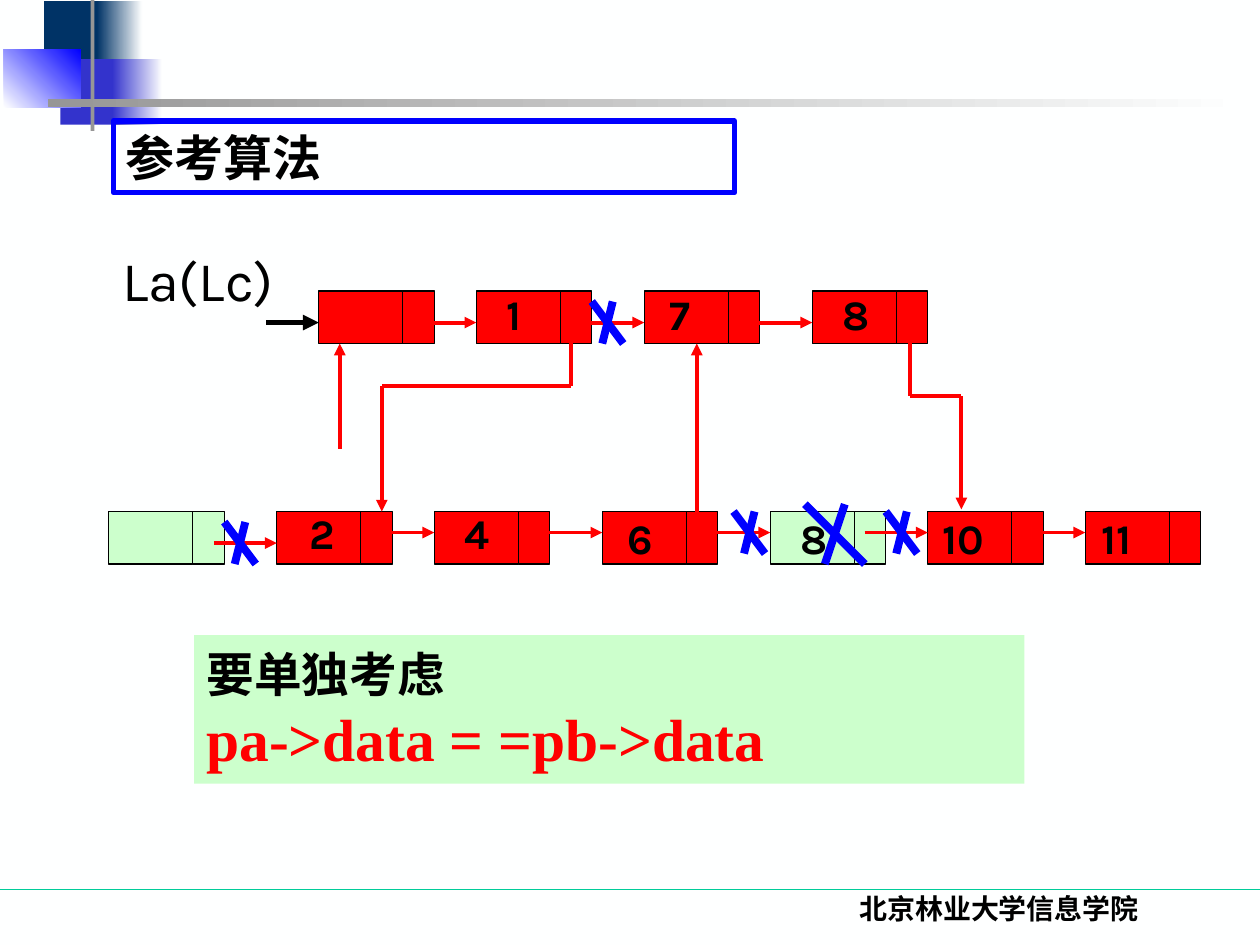
import dataclasses
import pptx
import pptx.dml.color
import pptx.enum.shapes
import pptx.enum.text
import pptx.oxml
import pptx.oxml.ns
import pptx.util


@dataclasses.dataclass(frozen=True)
class Theme:
    paper: str = "FEFFFF"
    ink: str = "000000"
    red: str = "FF0000"
    blue: str = "0000FF"
    mint: str = "CCFFCC"
    navy: str = "003366"
    plum: str = "3333CC"
    gray: str = "969696"
    green: str = "00CC99"
    serif: str = "Times New Roman"
    sans: str = "Karla"
    hei: str = "Noto Sans CJK SC"
    foot: float = 16
    label: float = 24
    note: float = 27.2
    title: float = 28
    head: float = 32
    code: float = 34
    hair: float = 0.75
    link: float = 2.25
    frame: float = 3
    cross: float = 4.5


class Deck:
    """Draws on one slide, with places in percent or in list grid units."""

    def __init__(self, theme):
        self.theme = theme
        self.prs = pptx.Presentation()
        self.prs.slide_width = pptx.util.Inches(10)
        self.prs.slide_height = pptx.util.Inches(7.5)
        self.slide = self.prs.slides.add_slide(self.prs.slide_layouts[6])
        self.paint(self.slide.background.fill, theme.paper)

    def share(self, x, y):
        return int(self.prs.slide_width * x / 100), int(self.prs.slide_height * y / 100)

    def grid(self, col, row):
        return 0.3 + col * 10 / 12, 0.8 + row * 10 / 9

    def span(self, col, row, wide, high):
        return *self.grid(col, row), wide * 10 / 12, high * 10 / 9

    def paint(self, fill, color):
        fill.solid()
        fill.fore_color.rgb = pptx.dml.color.RGBColor.from_string(color)

    def rect(self, box, fill=None, line=None, width=0, fade=None, angle=0):
        shape = self.slide.shapes.add_shape(
            pptx.enum.shapes.MSO_SHAPE.RECTANGLE, *self.share(*box[:2]), *self.share(*box[2:]))
        shape.shadow.inherit = False
        if fade:
            shape.fill.gradient()
            shape.fill.gradient_angle = angle
            for stop, color, place in zip(shape.fill.gradient_stops, (fill, fade), (0, 1)):
                stop.color.rgb = pptx.dml.color.RGBColor.from_string(color)
                stop.position = place
        elif fill:
            self.paint(shape.fill, fill)
        else:
            shape.fill.background()
        if line:
            self.paint(shape.line.fill, line)
            shape.line.width = pptx.util.Pt(width)
        else:
            shape.line.fill.background()
        return shape

    def box(self, box):
        return self.slide.shapes.add_textbox(*self.share(*box[:2]), *self.share(*box[2:]))

    def text(self, shape, words, styles, font, bold=True, wrap=True, center=False, middle=False):
        frame = shape.text_frame
        frame.text = words
        frame.word_wrap = wrap
        anchor = pptx.enum.text.MSO_ANCHOR
        frame.vertical_anchor = anchor.MIDDLE if middle else anchor.TOP
        para = frame.paragraphs[0]
        align = pptx.enum.text.PP_ALIGN
        para.alignment = align.CENTER if center else align.LEFT
        for run, (size, color) in zip(para.runs, styles):
            run.font.size = pptx.util.Pt(size)
            run.font.name = font
            run.font.bold = bold
            run.font.color.rgb = pptx.dml.color.RGBColor.from_string(color)

    def line(self, start, end, color, width, arrow=False):
        line = self.slide.shapes.add_connector(
            pptx.enum.shapes.MSO_CONNECTOR.STRAIGHT, *self.share(*start), *self.share(*end))
        self.paint(line.line.fill, color)
        line.line.width = pptx.util.Pt(width)
        props = line._element.spPr
        names = pptx.oxml.ns.nsdecls("a")
        if arrow:
            tip = pptx.oxml.parse_xml(f'<a:tailEnd {names} type="triangle"/>')
            props.find(pptx.oxml.ns.qn("a:ln")).append(tip)
        props.append(pptx.oxml.parse_xml(f'<a:effectLst {names}/>'))

    def link(self, *points, color=None, width=None, arrow=True):
        for start, end in zip(points, points[1:]):
            self.line(self.grid(*start), self.grid(*end), color or self.theme.red,
                      width or self.theme.link, arrow and end == points[-1])

    def node(self, col, row, color):
        for left, wide in ((0, 8), (8, 3)):
            self.rect(self.span(col + left, row, wide, 5), color, self.theme.ink, self.theme.hair)

    def label(self, col, row, words):
        shape = self.box(self.span(col, row, 2.4 + 2.3 * len(words), 6))
        self.text(shape, words, [(self.theme.label, self.theme.ink)], self.theme.sans, wrap=False)

    def cross(self, col, row, size=1, high=4):
        for left, right in ((2, 1), (0, 3)):
            self.link((col + left * size, row), (col + right * size, row + high),
                      color=self.theme.blue, width=self.theme.cross, arrow=False)


def main():
    look = Theme()
    deck = Deck(look)
    deck.line((0, 94.13), (100, 94.13), look.green, look.hair)
    for box, fill, fade, angle in (
        ((3.5, 0.13, 4.8, 6.93), look.navy, None, 0),
        ((7.7, 0.13, 3.6, 6.93), look.navy, look.paper, 0),
        ((4.8, 6.27, 4.6, 6.93), look.plum, None, 0),
        ((8.9, 6.27, 4, 6.93), look.plum, look.paper, 0),
        ((0.3, 5.2, 6.1, 6.13), look.paper, look.blue, 45),
        ((7.2, -1.47, 0.3, 15.33), look.gray, None, 0),
        ((3.8, 10.53, 95.1, 0.8), look.gray, look.paper, 0),
    ):
        deck.rect(box, fill, fade=fade, angle=angle)

    deck.text(deck.box((58.6, 93.73, 41.4, 6.67)), "北京林业大学信息学院",
              [(look.foot, look.ink)], look.serif, center=True)
    title = deck.rect((9, 12.8, 49.3, 7.6), line=look.blue, width=look.frame)
    deck.text(title, "参考算法", [(look.title, look.ink)], look.hei, middle=True)
    note = deck.rect((15.4, 67.2, 65.9, 15.73), look.mint)
    deck.text(note, "要单独考虑\vpa->data = =pb->data",
              [(look.note, look.ink), (look.code, look.red)], look.serif, middle=True)
    note.text_frame.paragraphs[0].font.size = pptx.util.Pt(look.note)

    top, low = 27, 48
    nodes = (
        (30, top, look.red, "", 0, 0),
        (45, top, look.red, "1", 1.7, -0.8),
        (61, top, look.red, "7", 1.2, -0.8),
        (77, top, look.red, "8", 1.7, -0.8),
        (10, low, look.mint, "", 0, 0),
        (26, low, look.red, "2", 1.9, -1),
        (41, low, look.red, "4", 1.7, -1),
        (57, low, look.red, "6", 1.2, -0.5),
        (73, low, look.mint, "8", 1.7, -0.5),
        (88, low, look.red, "10", 0.2, -0.5),
        (103, low, look.red, "11", 0.4, -0.5),
    )
    for col, row, color, *_ in nodes:
        deck.node(col, row, color)
    for row, ends in ((30, (45, 61, 77)), (50, (41, 57, 73, 88, 103)), (51, (26,))):
        for end in ends:
            deck.link((end - 6, row), (end, row))
    deck.link((32, 42), (32, 32))
    deck.link((54, 30), (54, 36), (36, 36), (36, 48))
    deck.link((66, 50), (66, 32))
    deck.link((86.3, 30), (86.3, 37), (91.2, 37), (91.2, 47.8))
    deck.link((25, 30), (30, 30), color=look.ink, width=look.frame)

    deck.text(deck.box((8.7, 25.33, 14.8, 8.53)), "La(Lc)",
              [(look.head, look.ink)], look.sans, bold=False)
    for col, row, _, words, right, down in nodes:
        if words:
            deck.label(col + right, row + down, words)
    for col, row in ((56, 28), (69.5, 48), (21, 49), (84, 48)):
        deck.cross(col, row)
    deck.cross(76.3, 47.3, 1.9, 5.7)
    deck.prs.save("out.pptx")


if __name__ == "__main__":
    main()
